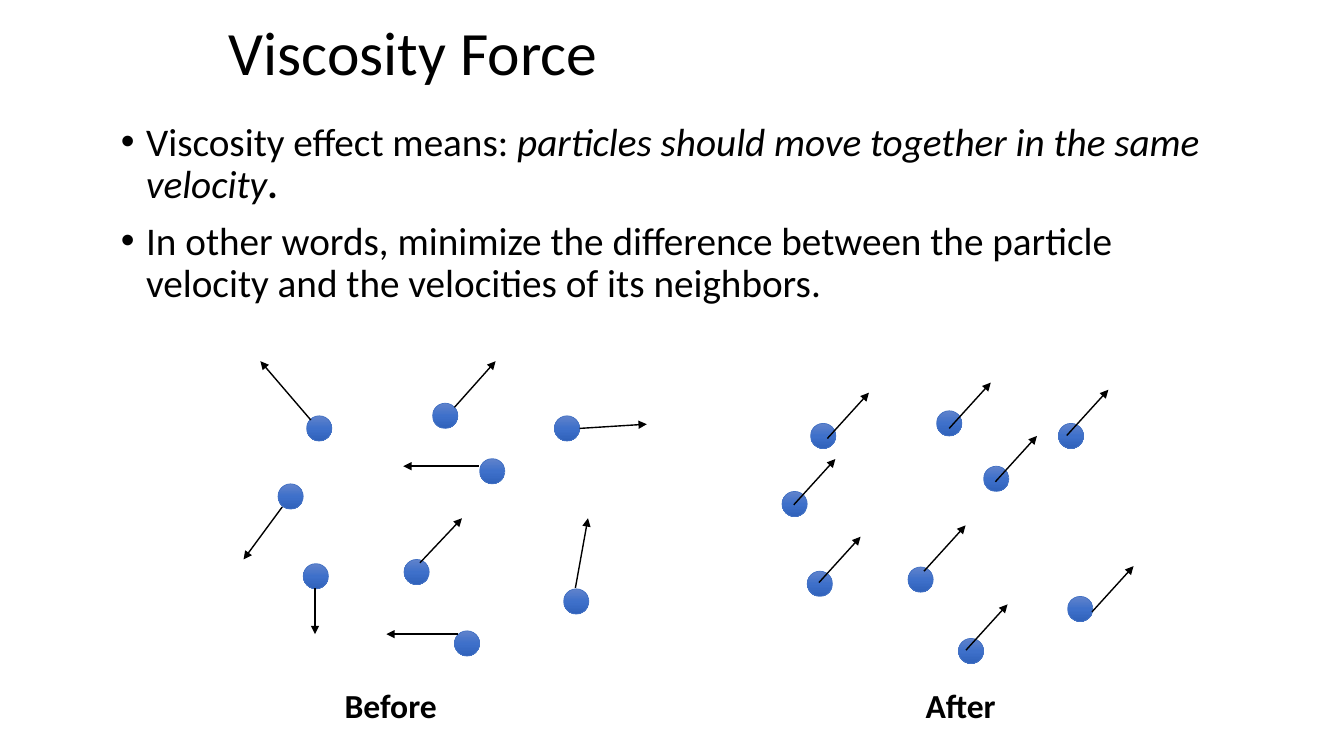
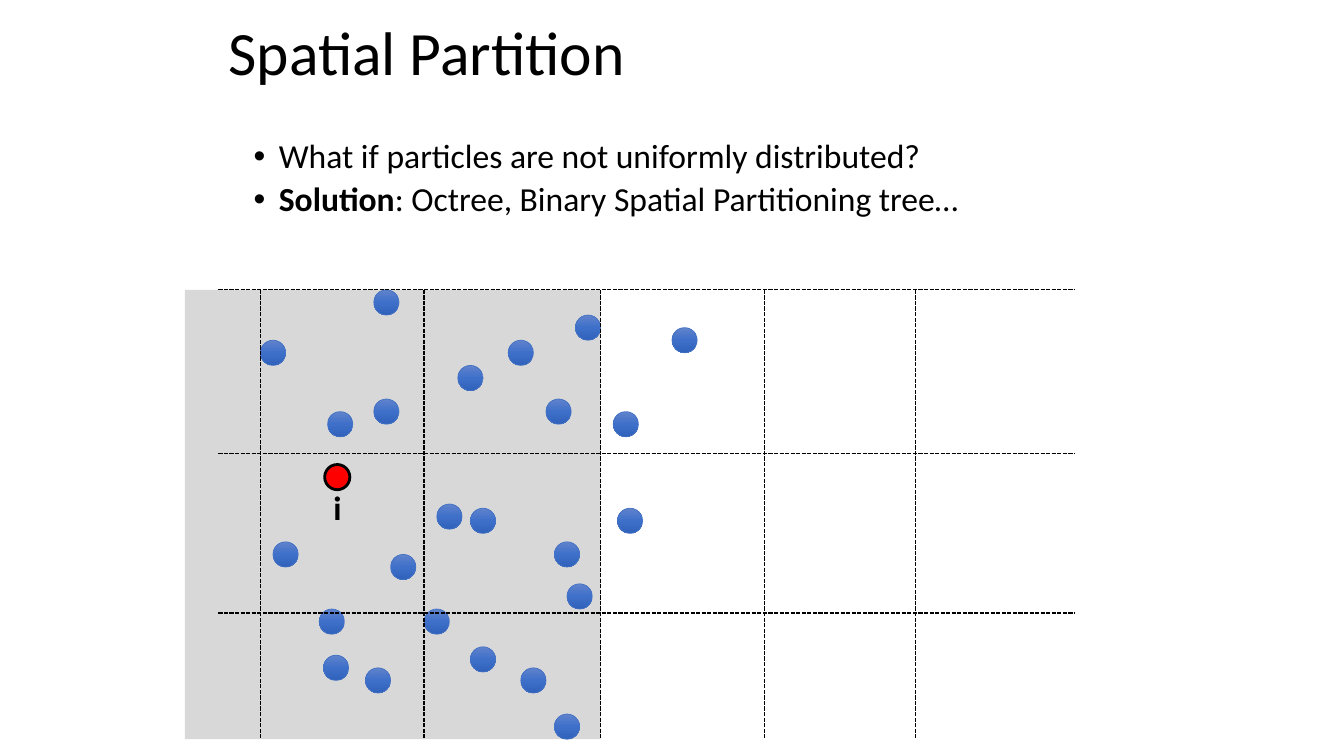
from copy import deepcopy
from dataclasses import dataclass

from pptx import Presentation
from pptx.dml.color import RGBColor
from pptx.enum.dml import MSO_LINE
from pptx.enum.shapes import MSO_CONNECTOR, MSO_SHAPE
from pptx.enum.text import MSO_ANCHOR, MSO_AUTO_SIZE, PP_ALIGN
from pptx.oxml.xmlchemy import OxmlElement
from pptx.util import Inches, Pt


@dataclass(frozen=True)
class Theme:
    font: str = "Calibri"
    ink: RGBColor = RGBColor(0x00, 0x00, 0x00)
    red: RGBColor = RGBColor(0xFF, 0x00, 0x00)
    shade: RGBColor = RGBColor(0x80, 0x80, 0x80)
    edge: RGBColor = RGBColor(0x44, 0x72, 0xC4)
    blues: tuple = (RGBColor(0x61, 0x83, 0xCB), RGBColor(0x3E, 0x70, 0xCA),
                    RGBColor(0x30, 0x62, 0xBB))
    title: int = 44
    body: int = 28
    small: int = 24


T = Theme()

# The slide is a grid of 320 columns by 180 rows
COLS, ROWS = 320, 180
UNIT = Inches(7.5) / ROWS
DOT = 6

prs = Presentation()
prs.slide_width, prs.slide_height = int(COLS * UNIT), int(ROWS * UNIT)


def add_dot(s, x, y, color=None):
    """Particle with its top left corner at column x, row y."""
    sp = s.shapes.add_shape(MSO_SHAPE.OVAL, *(int(v * UNIT) for v in (x, y, DOT, DOT)))
    sp.shadow.inherit = False
    if color is not None:
        sp.fill.solid()
        sp.fill.fore_color.rgb = color
        sp.line.color.rgb, sp.line.width = T.ink, Pt(2)
        return
    sp.fill.gradient()
    sp.fill.gradient_angle = 270
    first = sp.element.spPr.xpath("a:gradFill/a:gsLst/a:gs")[0]
    first.addnext(deepcopy(first))
    for i, (stop, rgb) in enumerate(zip(sp.fill.gradient_stops, T.blues)):
        stop.position, stop.color.rgb = i / 2, rgb
    sp.line.color.rgb, sp.line.width = T.edge, Pt(0.5)


def add_line(s, start, end, arrow=False):
    """Velocity arrow, or dashed grid line."""
    ends = (int(v * UNIT) for v in (*start, *end))
    line = s.shapes.add_connector(MSO_CONNECTOR.STRAIGHT, *ends)
    line.line.color.rgb, line.line.width = T.ink, Pt(1)
    if arrow:
        tail = OxmlElement("a:tailEnd")
        tail.set("type", "triangle")
        line.element.spPr.xpath("a:ln")[0].append(tail)
    else:
        line.line.dash_style = MSO_LINE.SQUARE_DOT
    line.element.spPr.append(OxmlElement("a:effectLst"))


# Titles, lists and labels; a run is its text and its font settings
PAGES = [
    dict(title="Viscosity Force", box=(26.4, 28, 271.2, 52),
         level=0, size=T.body, before=10, indent=0.25,
         items=[
             [("Viscosity effect means: ", {}),
              ("particles should move together in the same velocity", {"italic": True}),
              (".", {"bold": True})],
             [("In other words, minimize the difference between the particle "
               "velocity and the velocities of its neighbors.", {})],
         ],
         labels=[("Before", 79.7, 162, 27.1), ("After", 218, 162, 21.8)]),
    dict(title="Spatial Partition", box=(46, 32, 216, 38),
         level=1, size=T.small, before=5, indent=0.75,
         items=[
             [("What if particles are not uniformly distributed?", {})],
             [("Solution", {"bold": True}),
              (": Octree, Binary Spatial Partitioning tree…", {})],
         ],
         labels=[("i", 77, 114.7, 6.7)]),
]
TITLE_BOX = (52, -1.7, 216, 30)

for page in PAGES:
    s = prs.slides.add_slide(prs.slide_layouts[1])
    title, body = s.placeholders
    for sp, box in ((title, TITLE_BOX), (body, page["box"])):
        sp.left, sp.top, sp.width, sp.height = (int(v * UNIT) for v in box)
        sp.text_frame.word_wrap = True
        sp.text_frame.auto_size = MSO_AUTO_SIZE.NONE

    # Title
    title.text_frame.vertical_anchor = MSO_ANCHOR.MIDDLE
    p = title.text_frame.paragraphs[0]
    p.alignment, p.line_spacing = PP_ALIGN.LEFT, 0.9
    texts = [(p.add_run(), page["title"], {"size": Pt(T.title)})]

    # Bulleted list
    tf = body.text_frame
    for i, item in enumerate(page["items"]):
        p = tf.add_paragraph() if i else tf.paragraphs[0]
        for name, value in dict(level=page["level"], line_spacing=0.9,
                                space_before=Pt(page["before"])).items():
            setattr(p, name, value)
        pPr = p._p.get_or_add_pPr()
        pPr.set("marL", str(Inches(page["indent"])))
        pPr.set("indent", str(Inches(-0.25)))
        for tag, key, value in (("a:buFont", "typeface", "Arial"),
                                ("a:buChar", "char", "•")):
            bullet = OxmlElement(tag)
            bullet.set(key, value)
            pPr.append(bullet)
        texts += [(p.add_run(), text, {"size": Pt(page["size"]), **look})
                  for text, look in item]

    # Labels
    for text, x, y, w in page["labels"]:
        tf = s.shapes.add_textbox(*(int(v * UNIT) for v in (x, y, w, 12))).text_frame
        tf.word_wrap = False
        tf.auto_size = MSO_AUTO_SIZE.SHAPE_TO_FIT_TEXT
        texts.append((tf.paragraphs[0].add_run(), text,
                      {"size": Pt(T.small), "bold": True}))

    for r, text, look in texts:
        r.text = text
        r.font.color.rgb = T.ink
        for name, value in {"name": T.font, **look}.items():
            setattr(r.font, name, value)

viscosity, partition = prs.slides

# Particles: corner, arrow before (start, end), start of arrow after
PARTICLES = [
    ((103, 96), (108.2, 97), (118, 86), (226, 102)),
    ((134.2, 140.2), (137, 140), (140, 123.4), (260, 145.7)),
    ((132, 99), (138, 102), (154, 101), (254, 103.7)),
    ((66.2, 115.2), (67.2, 120.7), (58, 133.2), (189, 120.2)),
    ((96.2, 133.2), (100, 134), (110, 123.4), (220, 136)),
    ((72.2, 134.2), (75, 140), (75, 151), (195, 138.7)),
    ((73, 99), (74, 100), (62, 86), (197, 104.4)),
    ((108.2, 150.2), (109, 151), (92, 151), (230, 154.8)),
    ((114.2, 109.2), (114, 111), (96, 111), (237, 114.7)),
]
SHIFT = (120, 1.8)
VELOCITY = (9.9, -10.9)

for (x, y), start, end, after in PARTICLES:
    add_dot(viscosity, x, y)
    add_dot(viscosity, x + SHIFT[0], y + SHIFT[1])
for _, start, end, after in PARTICLES:
    add_line(viscosity, start, end, arrow=True)
    add_line(viscosity, after, (after[0] + VELOCITY[0], after[1] + VELOCITY[1]), arrow=True)

# Shaded neighbourhood, behind everything else
TOP, BOTTOM, LEFT, RIGHT = 69, 176, 52, 256
sp = partition.shapes.add_shape(
    MSO_SHAPE.RECTANGLE, *(int(v * UNIT) for v in (44, TOP, 99, BOTTOM - TOP)))
sp.shadow.inherit = False
sp.fill.solid()
sp.fill.fore_color.rgb = T.shade
alpha = OxmlElement("a:alpha")
alpha.set("val", "30000")
sp.element.spPr.xpath("a:solidFill/a:srgbClr")[0].append(alpha)
sp.line.fill.background()
partition.shapes[0].element.addprevious(sp.element)

# Scattered particles and the chosen one
SCATTER = [
    (89, 95), (135, 139), (76, 145), (121, 81), (147, 121), (130, 95),
    (93, 132), (160, 78), (109, 87), (112, 121), (78, 98), (132, 129),
    (104, 120), (146, 98), (137, 75), (112, 154), (65, 129), (62, 81),
    (101, 145), (77, 156), (124, 159), (87, 159), (132, 170), (89, 69),
]
for x, y in SCATTER:
    add_dot(partition, x, y)
add_dot(partition, 77.3, 110.6, T.red)

# Dashed cell borders
for y in (TOP, 108, 146):
    add_line(partition, (LEFT, y), (RIGHT, y))
for x in (62, 101, 143, 182, 218):
    add_line(partition, (x, TOP), (x, BOTTOM))

prs.save("out.pptx")
